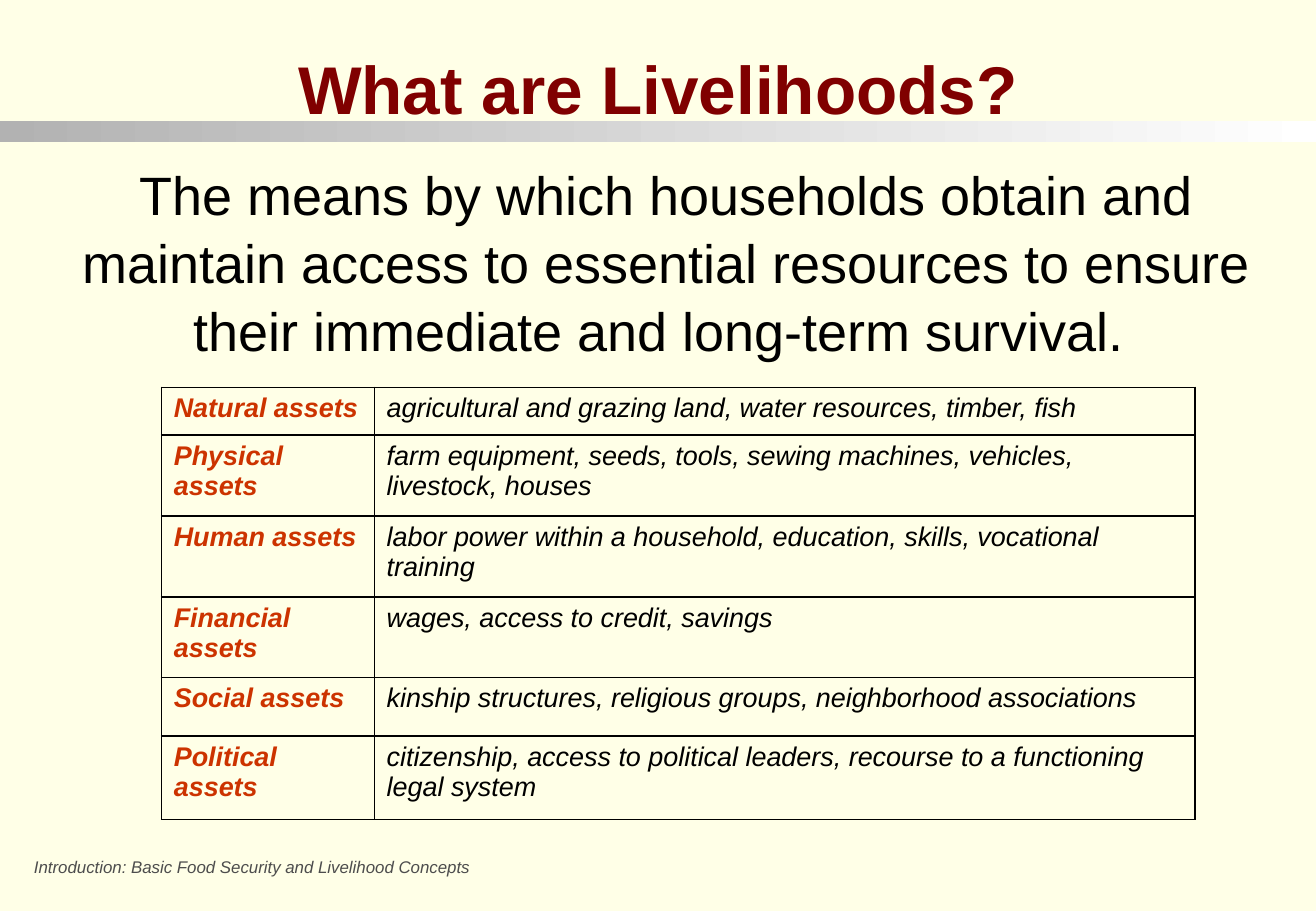
"""Build the slide that defines livelihoods and lists the household assets."""
from lxml import etree
from pptx import Presentation
from pptx import util as u
from pptx.dml.color import RGBColor
from pptx.enum import shapes, text
from pptx.oxml import ns

CREAM = RGBColor(0xFF, 0xFF, 0xE7)
SILVER = RGBColor(0xB2, 0xB2, 0xB2)
WHITE = RGBColor(0xFF, 0xFF, 0xFF)
MAROON = RGBColor(0x80, 0x00, 0x00)
RUST = RGBColor(0xCC, 0x33, 0x00)
GRAY = RGBColor(0x4D, 0x4D, 0x4D)
BLACK = RGBColor(0x00, 0x00, 0x00)

FONT = "Arial"
SLIDE_WIDTH = 27.51
TABLE_LEFT, TABLE_TOP = 3.38, 8.1
COLUMN_WIDTHS = (4.45, 17.15)
ASSETS = (
    ("Natural assets", "agricultural and grazing land, water resources, timber, fish", 1.0),
    ("Physical assets",
     "farm equipment, seeds, tools, sewing machines, vehicles, livestock, houses", 1.69),
    ("Human assets", "labor power within a household, education, skills, vocational training", 1.69),
    ("Financial assets", "wages, access to credit, savings", 1.69),
    ("Social assets", "kinship structures, religious groups, neighborhood associations", 1.22),
    ("Political assets",
     "citizenship, access to political leaders, recourse to a functioning legal system", 1.75),
)


def add_run(paragraph, wording, size, color, bold=False, italic=False):
    run = paragraph.add_run()
    run.text = wording
    font = run.font
    font.name, font.size = FONT, u.Pt(size)
    font.bold, font.italic = bold, italic
    font.color.rgb = color


def add_title(slide, wording):
    title = slide.shapes.title
    title.left, title.top = u.Cm(0.2), u.Cm(0.84)
    title.width, title.height = u.Cm(27.1), u.Cm(1.96)
    frame = title.text_frame
    frame.vertical_anchor = text.MSO_ANCHOR.BOTTOM
    paragraph = frame.paragraphs[0]
    paragraph.alignment = text.PP_ALIGN.CENTER
    add_run(paragraph, wording, 40, MAROON, bold=True)


def add_gradient_bar(slide):
    bar = slide.shapes.add_shape(
        shapes.MSO_SHAPE.RECTANGLE, 0, u.Cm(2.54), u.Cm(SLIDE_WIDTH), u.Cm(0.43))
    bar.shadow.inherit = False
    bar.line.fill.background()
    bar.fill.gradient()
    bar.fill.gradient_angle = 0
    for stop, color, position in zip(bar.fill.gradient_stops, (SILVER, WHITE), (0, 1)):
        stop.color.rgb = color
        stop.position = position


def add_text_box(slide, left, top, width, height):
    box = slide.shapes.add_textbox(u.Cm(left), u.Cm(top), u.Cm(width), u.Cm(height))
    box.text_frame.word_wrap = True
    return box.text_frame


def add_definition(slide, wording):
    frame = add_text_box(slide, 0.43, 3.18, 26.04, 4.24)
    frame.margin_left = u.Cm(1.22)
    paragraph = frame.paragraphs[0]
    paragraph.alignment = text.PP_ALIGN.CENTER
    paragraph.line_spacing = 1.05
    add_run(paragraph, wording, 32, BLACK)


def add_footer(slide, wording):
    frame = add_text_box(slide, 0.46, 17.78, 9.7, 0.69)
    add_run(frame.paragraphs[0], wording, 10, GRAY, italic=True)


def set_borders(cell, color):
    properties = cell._tc.get_or_add_tcPr()
    for index, side in enumerate(("a:lnL", "a:lnR", "a:lnT", "a:lnB")):
        line = etree.Element(ns.qn(side), w=str(u.Pt(1)))
        fill = etree.SubElement(line, ns.qn("a:solidFill"))
        etree.SubElement(fill, ns.qn("a:srgbClr"), val=str(color))
        properties.insert(index, line)


def add_asset_table(slide, top, height, asset, examples):
    table = slide.shapes.add_table(
        1, 2, u.Cm(TABLE_LEFT), u.Cm(top), u.Cm(sum(COLUMN_WIDTHS)), u.Cm(height)).table
    table.first_row = table.horz_banding = False
    for column, width in zip(table.columns, COLUMN_WIDTHS):
        column.width = u.Cm(width)
    styles = ((asset, RUST, True), (examples, BLACK, False))
    for cell, (wording, color, bold) in zip(table.iter_cells(), styles):
        cell.fill.background()
        set_borders(cell, BLACK)
        add_run(cell.text_frame.paragraphs[0], wording, 16, color, bold, italic=True)


def main():
    presentation = Presentation()
    presentation.slide_width, presentation.slide_height = u.Cm(SLIDE_WIDTH), u.Cm(19.05)
    slide = presentation.slides.add_slide(presentation.slide_layouts.get_by_name("Title Only"))
    slide.background.fill.solid()
    slide.background.fill.fore_color.rgb = CREAM

    add_gradient_bar(slide)
    add_title(slide, "What are Livelihoods?")
    add_footer(slide, "Introduction: Basic Food Security and Livelihood Concepts")
    add_definition(slide, "The means by which households obtain and maintain access to essential "
                          "resources to ensure their immediate and long-term survival. ")
    top = TABLE_TOP
    for asset, examples, height in ASSETS:
        add_asset_table(slide, top, height, asset, examples)
        top += height

    presentation.save("out.pptx")


main()
